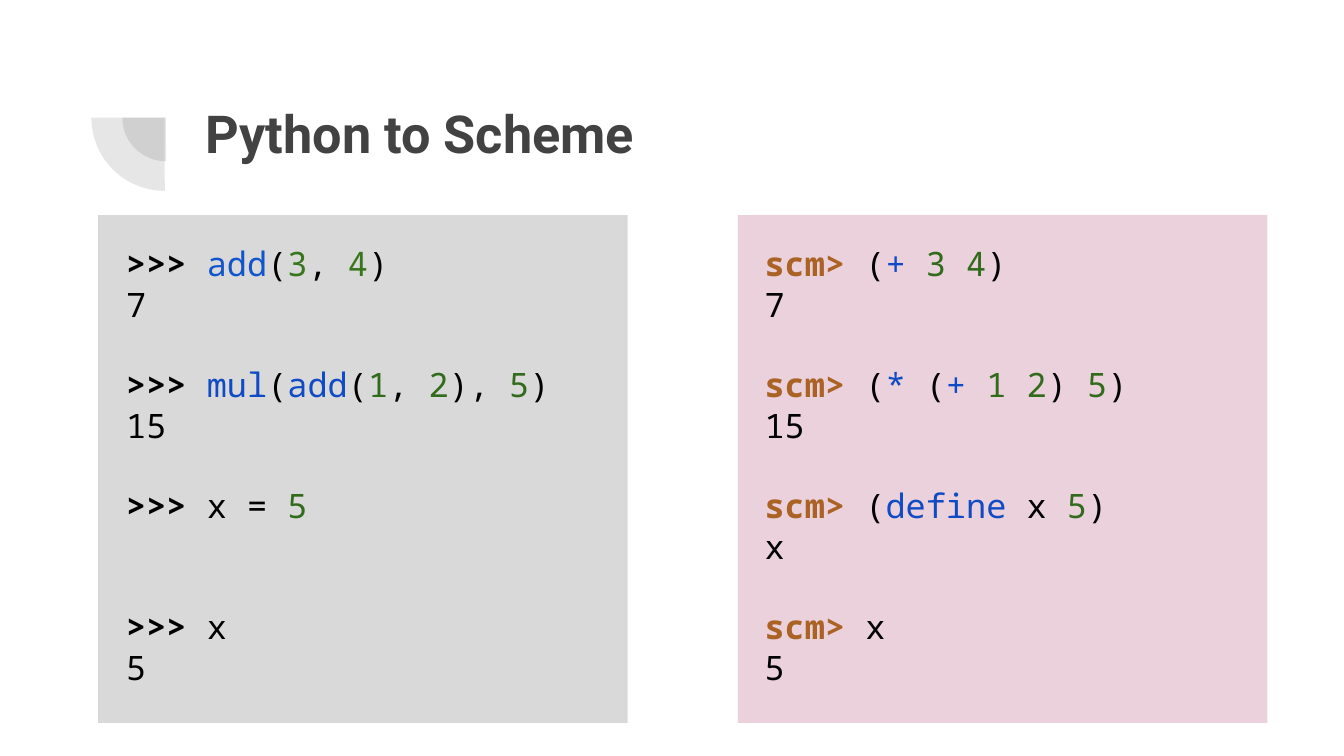
from typing import NamedTuple

from lxml import etree
from pptx import Presentation
from pptx import util as u
from pptx.dml.color import RGBColor
from pptx.enum import shapes, text
from pptx.oxml.ns import qn

PX = u.Inches(1) // 100
CODE_FONT, CODE_SIZE = "Noto Sans Mono", 18
LINE_HEIGHT = 21.6

LIGHT_GRAY = RGBColor(0xD9, 0xD9, 0xD9)
PINK = RGBColor(0xEA, 0xD1, 0xDC)
CHARCOAL = RGBColor(0x42, 0x42, 0x42)
BLACK = RGBColor(0x00, 0x00, 0x00)
BROWN = RGBColor(0xAA, 0x62, 0x25)
BRIGHT_BLUE = RGBColor(0x11, 0x55, 0xCC)
BLUE = RGBColor(0x10, 0x4B, 0xC5)
BRIGHT_GREEN = RGBColor(0x38, 0x76, 0x1D)
GREEN = RGBColor(0x31, 0x6B, 0x1B)


class Token(NamedTuple):
    text: str
    color: RGBColor = BLACK


class Exchange(NamedTuple):
    """One prompt line, its reply, and the number of empty lines above it."""
    code: list[Token]
    reply: str = ""
    gap: int = 1


class Session(NamedTuple):
    left: int
    text_left: int
    fill: RGBColor
    prompt: Token
    exchanges: list[Exchange]


class Arc(NamedTuple):
    left: int
    top: int
    size: int


ARCS = [Arc(91, 55, 65), Arc(68, 33, 109)]

SESSIONS = [
    Session(73, 84, LIGHT_GRAY, Token(">>> "), [
        Exchange([Token("add", BRIGHT_BLUE), Token("("), Token("3", BRIGHT_GREEN),
                  Token(","), Token(" 4", BRIGHT_GREEN), Token(")")], "7", gap=0),
        Exchange([Token("mul", BLUE), Token("("), Token("add", BLUE), Token("("),
                  Token("1", GREEN), Token(", "), Token("2", GREEN), Token("), "),
                  Token("5", GREEN), Token(")")], "15"),
        Exchange([Token("x = "), Token("5", GREEN)]),
        Exchange([Token("x")], "5", gap=2),
    ]),
    Session(549, 559, PINK, Token("scm> ", BROWN), [
        Exchange([Token("("), Token("+ ", BLUE), Token("3 4", GREEN), Token(")")],
                 "7", gap=0),
        Exchange([Token("("), Token("*", BLUE), Token(" ("), Token("+ ", BLUE),
                  Token("1 2", GREEN), Token(") "), Token("5", GREEN), Token(")")], "15"),
        Exchange([Token("("), Token("define", BLUE), Token(" x "), Token("5", GREEN),
                  Token(")")], "x"),
        Exchange([Token("x")], "5"),
    ]),
]


def px(*lengths: int) -> list[int]:
    return [length * PX for length in lengths]


def set_all(target, values: dict) -> None:
    for name, value in values.items():
        setattr(target, name, value)


def set_frame(frame) -> None:
    inset = 10 * PX
    set_all(frame, dict(word_wrap=True, auto_size=text.MSO_AUTO_SIZE.NONE,
                        vertical_anchor=text.MSO_ANCHOR.TOP,
                        margin_left=inset, margin_top=inset,
                        margin_right=inset, margin_bottom=inset))


def add_run(paragraph, token: Token, font: str, size: int, bold: bool) -> None:
    run = paragraph.add_run()
    run.text = token.text
    set_all(run.font, dict(name=font, size=u.Pt(size), bold=bold))
    run.font.color.rgb = token.color


def add_filled(slide, kind, box: list[int], color: RGBColor):
    shape = slide.shapes.add_shape(kind, *box)
    shape.shadow.inherit = False
    shape.fill.solid()
    shape.fill.fore_color.rgb = color
    shape.line.fill.background()
    return shape


def add_arc(slide, arc: Arc) -> None:
    """Draw a translucent quarter disc."""
    pie = add_filled(slide, shapes.MSO_SHAPE.PIE,
                     px(arc.left, arc.top, arc.size, arc.size), CHARCOAL)
    pie.rotation = 270
    pie.adjustments[0], pie.adjustments[1] = 107.93, 162
    color = pie.fill._xPr.find(qn("a:solidFill"))[0]
    etree.SubElement(color, qn("a:alpha"), val="13000")


def add_title(slide, title: str) -> None:
    holder = slide.shapes.title
    left, top, width, height = px(143, 65, 769, 109)
    set_all(holder, dict(left=left, top=top, width=width, height=height))
    set_frame(holder.text_frame)
    paragraph = holder.text_frame.paragraphs[0]
    paragraph.alignment = text.PP_ALIGN.LEFT
    add_run(paragraph, Token(title, CHARCOAL), "Roboto", 28, True)


def add_session(slide, session: Session) -> None:
    add_filled(slide, shapes.MSO_SHAPE.RECTANGLE,
               px(session.left, 160, 394, 378), session.fill)
    frame = slide.shapes.add_textbox(*px(session.text_left, 171, 371, 355)).text_frame
    set_frame(frame)
    for index, exchange in enumerate(session.exchanges):
        line = frame.add_paragraph() if index else frame.paragraphs[0]
        line.space_before = u.Pt(exchange.gap * LINE_HEIGHT)
        add_run(line, session.prompt, CODE_FONT, CODE_SIZE, True)
        for token in exchange.code:
            add_run(line, token, CODE_FONT, CODE_SIZE, False)
        if exchange.reply:
            add_run(frame.add_paragraph(), Token(exchange.reply),
                    CODE_FONT, CODE_SIZE, False)


def main() -> None:
    deck = Presentation()
    deck.slide_width = 1000 * PX
    deck.slide_height = deck.slide_width * 9 // 16
    slide = deck.slides.add_slide(deck.slide_layouts[5])
    for arc in ARCS:
        add_arc(slide, arc)
    add_title(slide, "Python to Scheme")
    for session in SESSIONS:
        add_session(slide, session)
    deck.save("out.pptx")


if __name__ == "__main__":
    main()
